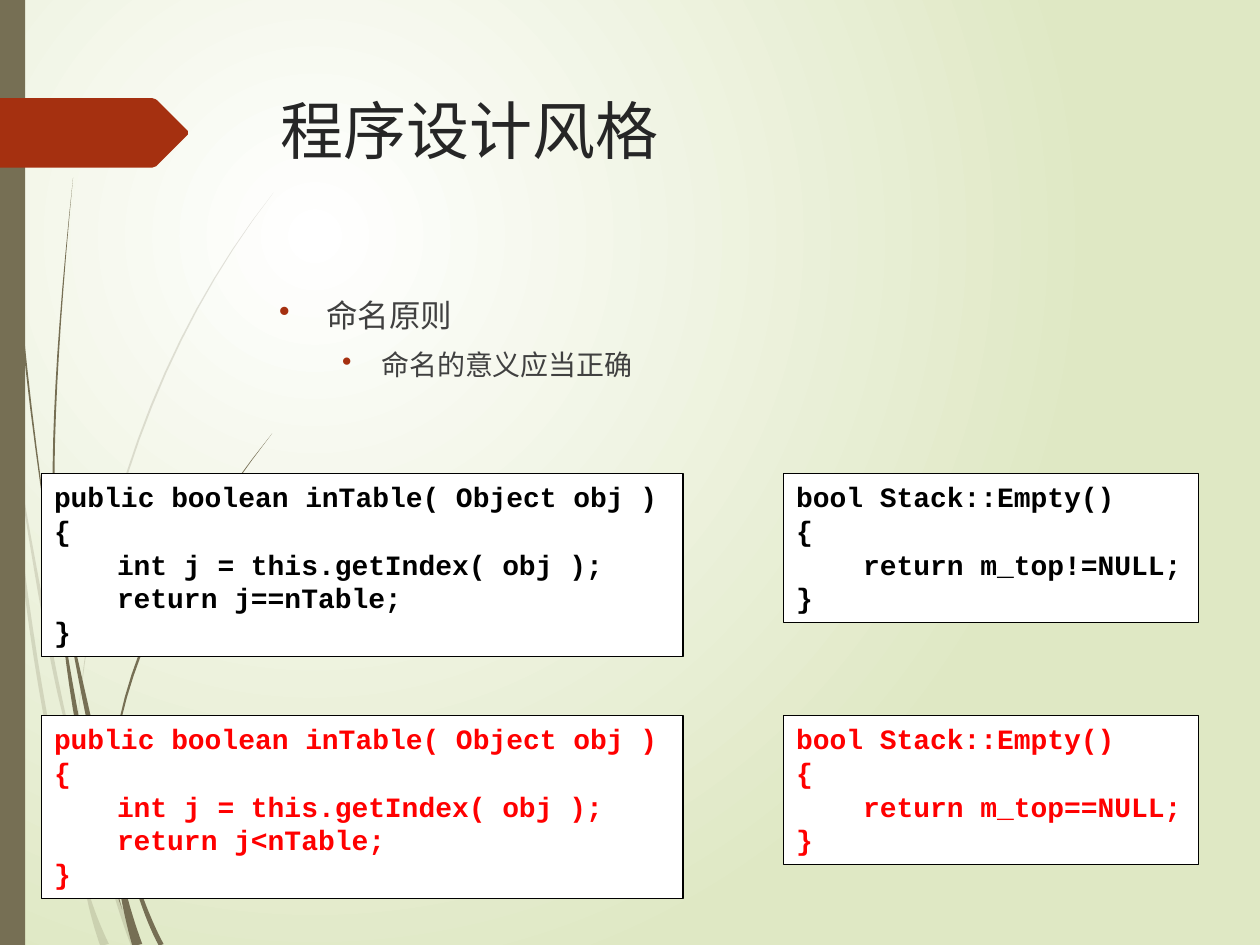
import math

import pptx
import pptx.dml.color
import pptx.enum.shapes
import pptx.enum.text
import pptx.oxml.ns
import pptx.util
from lxml import etree

Cm, Pt = pptx.util.Cm, pptx.util.Pt
RGBColor = pptx.dml.color.RGBColor
qn = pptx.oxml.ns.qn

WHITE = RGBColor(0xFF, 0xFF, 0xFF)
BLACK = RGBColor(0, 0, 0)
RED = RGBColor(0xFF, 0, 0)
PALE_GREEN = RGBColor(0xDF, 0xE8, 0xC4)
OLIVE = RGBColor(0x76, 0x6F, 0x54)
RUST = RGBColor(0xA5, 0x30, 0x10)
TITLE_GREY = RGBColor(0x26, 0x26, 0x26)
BODY_GREY = RGBColor(0x40, 0x40, 0x40)
HEADING_FONT = "TeX Gyre Adventor"
CODE_FONT = "Courier New"

# Each wisp: tip, middle and end of its centre line, then its width at the middle and the end.
OUTLINE_UNIT = Cm(0.0254)
CURVE_STEPS = 16
FAINT_WISPS = [
    ((10, 345), (41, 521), (59, 593), 3, 0),
    ((61, 600), (87, 693), (106, 750), 3, 4),
    ((8, 350), (32, 545), (70, 714), 3, 0),
    ((60, 590), (110, 349), (217, 153), 1.5, 0),
    ((65, 683), (71, 715), (83, 750), 3, 7),
]
DARK_WISPS = [
    ((3, 0), (15, 233), (47, 480), 1.5, 0),
    ((50, 472), (75, 591), (88, 643), 4, 0),
    ((91, 643), (110, 707), (128, 750), 3, 4),
    ((47, 477), (68, 607), (97, 722), 4, 0),
    ((49, 472), (43, 349), (58, 141), 1.5, 0),
    ((89, 636), (119, 500), (216, 344), 2, 0),
    ((88, 645), (96, 700), (109, 750), 4, 8),
]
ARROW = [(0, 0), (121, 0), (124, 1), (149, 26), (149, 29), (124, 54), (121, 55), (0, 55)]

IN_TABLE = ["public boolean inTable( Object obj )", "{", "\tint j = this.getIndex( obj );", "\treturn {};", "}"]
STACK_EMPTY = ["bool Stack::Empty()", "{", "    return {};", "}"]


def paint(shape, color):
    shape.shadow.inherit = False
    shape.fill.solid()
    shape.fill.fore_color.rgb = color
    shape.line.fill.background()


def paint_background(slide):
    """Radial gradient centred a quarter of the way in from the top left."""
    fill = slide.background.fill
    fill.gradient()
    for stop, color in zip(fill.gradient_stops, (WHITE, PALE_GREEN)):
        stop.color.rgb = color
    gradient = next(slide.element.iter(qn("a:gradFill")))
    gradient.remove(gradient.find(qn("a:lin")))
    circle = etree.SubElement(gradient, qn("a:path"), path="circle")
    etree.SubElement(circle, qn("a:fillToRect"), l="50000", t="50000", r="100000", b="100000")


def through(start, middle, end, t):
    """Value at t of the parabola that passes start, middle and end at 0, 0.5 and 1."""
    return start * (1 - t) * (1 - 2 * t) + 4 * middle * t * (1 - t) + end * t * (2 * t - 1)


def wisp_outline(tip, middle, end, middle_width, end_width):
    slope_x, slope_y = end[0] - tip[0], end[1] - tip[1]
    length = math.hypot(slope_x, slope_y)
    one_side, other_side = [], []
    for step in range(CURVE_STEPS + 1):
        t = step / CURVE_STEPS
        x, y = (through(tip[axis], middle[axis], end[axis], t) for axis in (0, 1))
        half = through(0, middle_width, end_width, t) / 2
        offset_x, offset_y = -half * slope_y / length, half * slope_x / length
        one_side.append((x + offset_x, y + offset_y))
        other_side.append((x - offset_x, y - offset_y))
    return one_side + other_side[::-1]


def add_outline(shapes, left, top, points, color):
    corners = [(left + x * OUTLINE_UNIT, top + y * OUTLINE_UNIT) for x, y in points]
    builder = shapes.build_freeform(*corners[0], scale=1.0)
    builder.add_line_segments(corners[1:], close=True)
    outline = builder.convert_to_shape()
    paint(outline, color)
    return outline


def add_wisps(slide, left, top, wisps, opacity=100):
    group = slide.shapes.add_group_shape()
    for wisp in wisps:
        strand = add_outline(group.shapes, left, top, wisp_outline(*wisp), OLIVE)
        if opacity < 100:
            tint = next(strand.element.spPr.iter(qn("a:srgbClr")))
            etree.SubElement(tint, qn("a:alpha"), val=str(opacity * 1000))


def add_side_bar(slide, left, top, width, height):
    bar = slide.shapes.add_shape(pptx.enum.shapes.MSO_SHAPE.RECTANGLE, left, top, width, height)
    paint(bar, OLIVE)


def style(paragraph, font_name, size, color, bold=False):
    font = paragraph.font
    font.name, font.size, font.bold = font_name, Pt(size), bold
    font.color.rgb = color


def add_title(slide, left, top, width, height):
    frame = slide.shapes.add_textbox(left, top, width, height).text_frame
    frame.word_wrap = True
    frame.text = "程序设计风格"
    style(frame.paragraphs[0], HEADING_FONT, 36, TITLE_GREY)


def add_naming_rules(slide, left, top, width, height):
    frame = slide.shapes.add_textbox(left, top, width, height).text_frame
    frame.word_wrap = True
    rules = [("命名原则", 18, 0.95, 0.95), ("命名的意义应当正确", 16, 2.06, 0.79)]
    for level, (rule, size, margin, hanging) in enumerate(rules):
        paragraph = frame.add_paragraph() if level else frame.paragraphs[0]
        paragraph.text = rule
        paragraph.level = level
        paragraph.line_spacing = 0.9
        if level:
            paragraph.space_before = Pt(10)
        properties = paragraph._p.get_or_add_pPr()
        properties.set("marL", str(Cm(margin)))
        properties.set("indent", str(-Cm(hanging)))
        bullet_color = etree.SubElement(properties, qn("a:buClr"))
        etree.SubElement(bullet_color, qn("a:srgbClr"), val=str(RUST))
        etree.SubElement(properties, qn("a:buChar"), char="•")
        style(paragraph, HEADING_FONT, size, BODY_GREY)


def add_code(slide, left, top, width, height, lines, result, color):
    """White listing whose return line gives the result."""
    listing = slide.shapes.add_shape(pptx.enum.shapes.MSO_SHAPE.RECTANGLE, left, top, width, height)
    paint(listing, WHITE)
    listing.line.color.rgb = BLACK
    listing.line.width = Pt(0.75)
    frame = listing.text_frame
    frame.word_wrap = True
    frame.vertical_anchor = pptx.enum.text.MSO_ANCHOR.TOP
    frame.text = "\n".join(lines).replace("{};", result + ";")
    for paragraph in frame.paragraphs:
        paragraph.alignment = pptx.enum.text.PP_ALIGN.LEFT
        tabs = etree.SubElement(paragraph._p.get_or_add_pPr(), qn("a:tabLst"))
        etree.SubElement(tabs, qn("a:tab"), pos=str(Cm(1.27)), algn="l")
        style(paragraph, CODE_FONT, 16, color, bold=True)


def main():
    deck = pptx.Presentation()
    deck.slide_width, deck.slide_height = Cm(25.4), Cm(19.05)
    slide = deck.slides.add_slide(deck.slide_layouts[6])
    paint_background(slide)
    add_wisps(slide, 0, 0, FAINT_WISPS, opacity=20)
    add_wisps(slide, 0, 0, DARK_WISPS)
    add_side_bar(slide, 0, 0, Cm(0.51), deck.slide_height)
    add_outline(slide.shapes, 0, Cm(1.98), ARROW, RUST)
    add_title(slide, Cm(5.41), Cm(1.73), Cm(18.31), Cm(3.56))
    add_naming_rules(slide, Cm(5.38), Cm(5.92), Cm(18.31), Cm(10.49))
    columns = [(0.84, 12.93, 3.68, IN_TABLE, ("j==nTable", "j<nTable")),
               (15.8, 8.36, 3, STACK_EMPTY, ("m_top!=NULL", "m_top==NULL"))]
    for left, width, height, lines, results in columns:
        for top, color, result in zip((9.55, 14.43), (BLACK, RED), results):
            add_code(slide, Cm(left), Cm(top), Cm(width), Cm(height), lines, result, color)
    deck.save("out.pptx")


if __name__ == "__main__":
    main()
